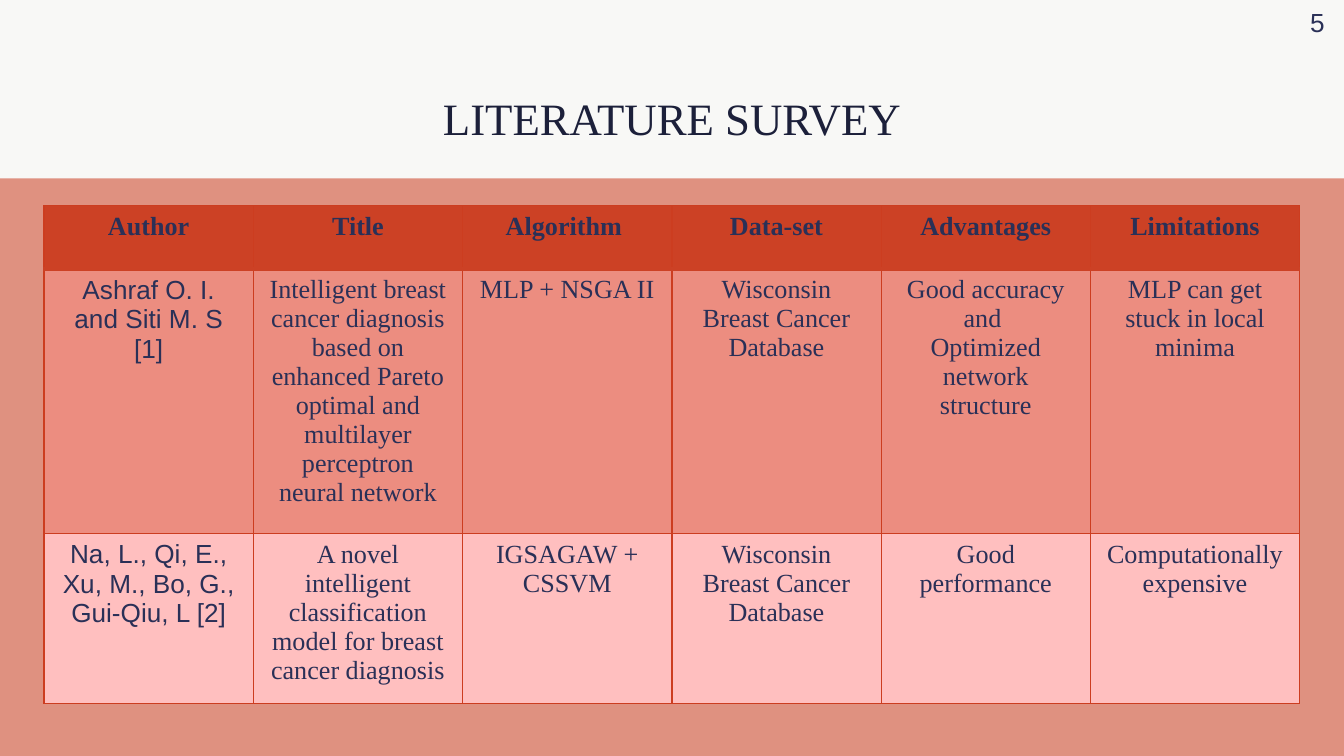
import pptx
import pptx.util
import pptx.dml.color
import pptx.enum.shapes
import pptx.enum.text
import pptx.oxml
from lxml import etree

Pt = pptx.util.Pt
ALIGN = pptx.enum.text.PP_ALIGN
ANCHOR = pptx.enum.text.MSO_ANCHOR
NS = "http://schemas.openxmlformats.org/drawingml/2006/main"

HEADERS = ["Author", "Title", "Algorithm ", "Data-set", "Advantages", "Limitations"]
STUDIES = [
    ["Ashraf O. I. and Siti M. S [1]",
     "Intelligent breast cancer diagnosis based on enhanced Pareto optimal "
     "and multilayer perceptron neural network",
     "MLP + NSGA II",
     "Wisconsin Breast Cancer Database",
     "Good accuracy and \nOptimized network structure",
     "MLP can get stuck in local minima"],
    ["Na, L., Qi, E., Xu, M., Bo, G., Gui-Qiu, L [2]",
     "A novel intelligent classification model for breast cancer diagnosis",
     "IGSAGAW + CSSVM",
     "Wisconsin Breast Cancer Database",
     "Good performance",
     "Computationally expensive"],
]
ROW_HEIGHTS = [33.8, 131.2, 84.3]
ROW_FILLS = ["CC4125", "EC8D80", "FFBFBF"]


def paint(fill, color):
    fill.solid()
    fill.fore_color.rgb = pptx.dml.color.RGBColor.from_string(color)


def write(tf, text, size=14, font="Times New Roman", color="2A3057",
          bold=False, align=ALIGN.CENTER):
    for i, line in enumerate(text.split("\n")):
        p = tf.add_paragraph() if i else tf.paragraphs[0]
        p.alignment = align
        r = p.add_run()
        r.text = line
        r.font.size = Pt(size)
        r.font.name = font
        r.font.bold = bold
        paint(r.font.fill, color)


def border(cell, side, color, width):
    """Add one cell edge ahead of the fill, as the schema orders it."""
    tcPr = cell._tc.get_or_add_tcPr()
    ln = pptx.oxml.parse_xml(
        f'<a:{side} xmlns:a="{NS}" w="{Pt(width)}"><a:solidFill>'
        f'<a:srgbClr val="{color}"/></a:solidFill></a:{side}>')
    tcPr.insert(len(tcPr.findall("a:ln*".replace("ln*", side), {"a": NS})), ln)


class Deck:
    def __init__(self, width, height, background):
        self.prs = pptx.Presentation()
        self.prs.slide_width, self.prs.slide_height = Pt(width), Pt(height)
        self.s = self.prs.slides.add_slide(self.prs.slide_layouts[6])
        paint(self.s.background.fill, background)

    def panel(self, x, y, w, h, color, opacity):
        sp = self.s.shapes.add_shape(pptx.enum.shapes.MSO_SHAPE.RECTANGLE,
                                     Pt(x), Pt(y), Pt(w), Pt(h))
        sp.shadow.inherit = False
        sp.line.fill.background()
        paint(sp.fill, color)
        clr = sp._element.spPr.find(f".//{{{NS}}}srgbClr")
        etree.SubElement(clr, f"{{{NS}}}alpha", val=str(opacity * 1000))

    def text(self, x, y, w, h, text, anchor=ANCHOR.TOP, **style):
        tf = self.s.shapes.add_textbox(Pt(x), Pt(y), Pt(w), Pt(h)).text_frame
        tf.word_wrap = True
        tf.vertical_anchor = anchor
        write(tf, text, **style)

    def table(self, x, y, w, rows, heights, fills, line="CC3D20"):
        table = self.s.shapes.add_table(len(rows), len(rows[0]), Pt(x), Pt(y),
                                        Pt(w), Pt(sum(heights))).table
        for i, (row, height, fill) in enumerate(zip(rows, heights, fills)):
            table.rows[i].height = Pt(height)
            for j, text in enumerate(row):
                cell = table.cell(i, j)
                # Each edge goes in first, so the list runs bottom to left.
                for side in ("lnB", "lnT", "lnR", "lnL"):
                    heavy = (i, side) in ((0, "lnB"), (1, "lnT"))
                    border(cell, side, fills[0] if heavy else line,
                           2 if heavy else 0.75)
                paint(cell.fill, fill)
                author = i > 0 and j == 0
                write(cell.text_frame, text, bold=i == 0,
                      font="Arial" if author else "Times New Roman")


def main():
    deck = Deck(720, 405, "F8F8F6")
    deck.panel(0, 95.6, 720, 309.4, "CC4125", 56)
    deck.text(57, 40.5, 606, 45, "LITERATURE SURVEY", anchor=ANCHOR.MIDDLE,
              size=24, color="1C203A")
    deck.table(23.6, 110.3, 672.8, [HEADERS] + STUDIES, ROW_HEIGHTS, ROW_FILLS)
    deck.text(694.8, 0, 25.2, 24.5, "5", font="Arial", align=ALIGN.LEFT)
    deck.prs.save("out.pptx")


if __name__ == "__main__":
    main()
